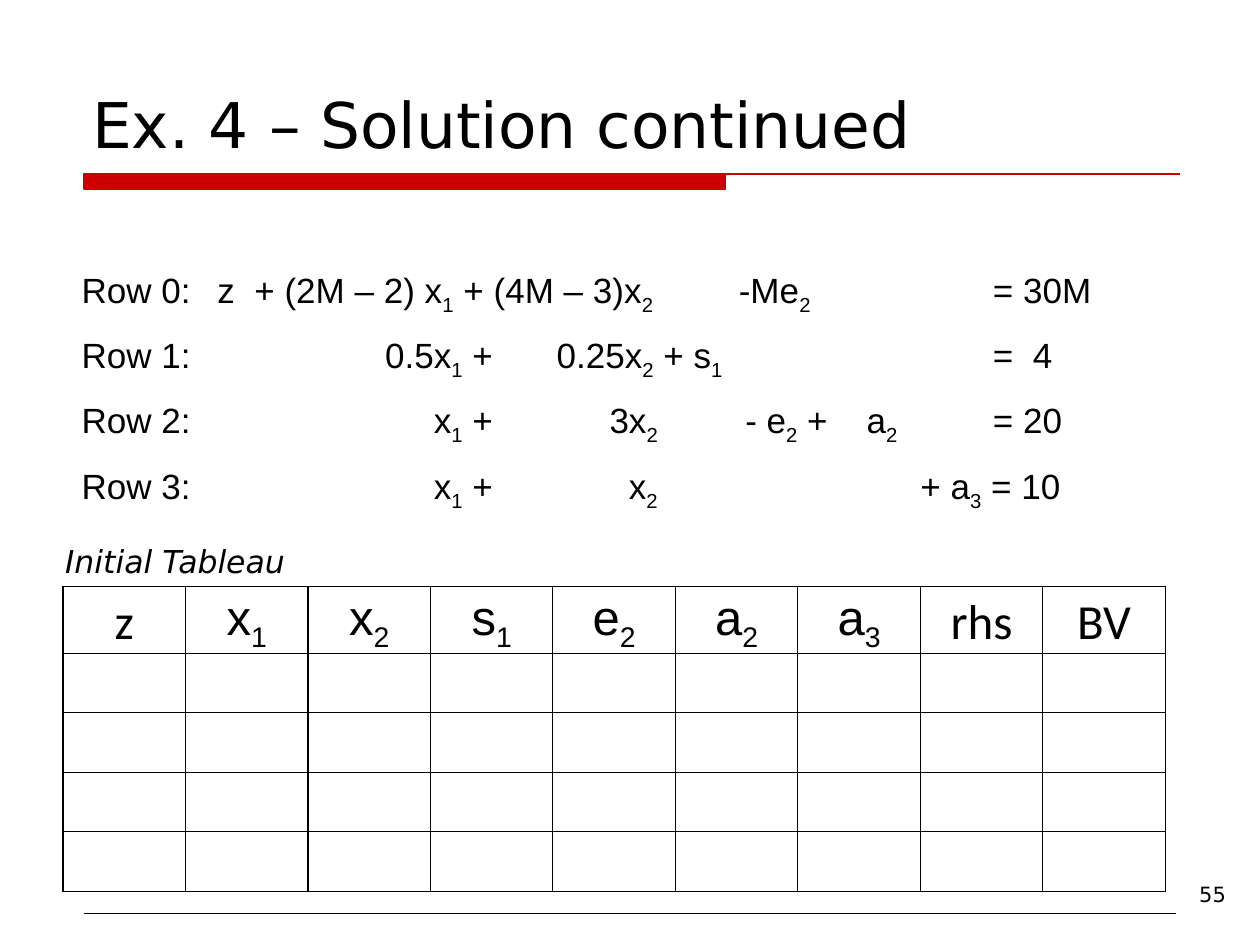
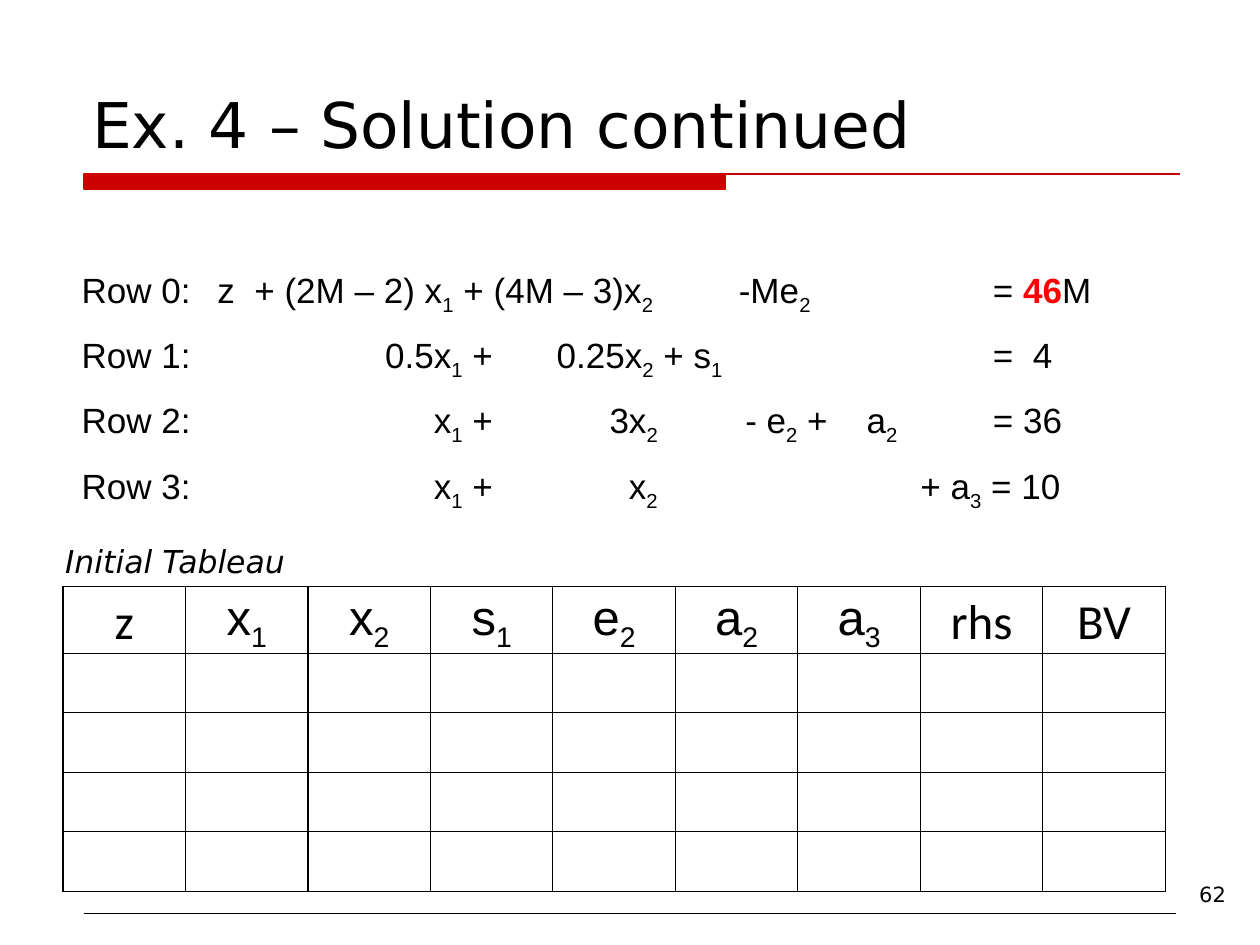
from lxml import etree
from pptx import Presentation
from pptx.dml.color import RGBColor
from pptx.enum.shapes import MSO_CONNECTOR as CONNECTOR, MSO_SHAPE as SHAPE
from pptx.enum.text import MSO_ANCHOR as ANCHOR, MSO_AUTO_SIZE as AUTO_SIZE, PP_ALIGN as ALIGN
from pptx.oxml.ns import qn
from pptx.util import Pt

COLORS = {"text": "000000", "accent": "CC0000", "changed": "FF0000"}
BASE_FONT, MATH_FONT, LABEL_FONT = "DejaVu Sans", "Arial", "Calibri"

TITLE = "Ex. 4 – Solution continued"
TABLEAU_HEADS = ["z", "x_1", "x_2", "s_1", "e_2", "a_2", "a_3", "rhs", "BV"]
EMPTY_ROWS = 4
RIGHT_SIDE_TAB = 520.7


def color(name):
    return RGBColor.from_string(COLORS[name])


def set_font(paragraph, name, size, italic=None):
    font = paragraph.font
    font.name, font.size, font.italic = name, Pt(size), italic
    font.color.rgb = color("text")


def add_math(paragraph, text):
    """Write text in which _ lowers the next character and *...* marks a changed value."""
    for index, part in enumerate(text.split("*")):
        for position, piece in enumerate(part.split("_")):
            if position:
                subscript = paragraph.add_run()
                subscript.text = piece[0]
                subscript._r.get_or_add_rPr().set("baseline", "-25000")
                piece = piece[1:]
            if piece:
                run = paragraph.add_run()
                run.text = piece
                if index % 2:
                    run.font.bold = True
                    run.font.color.rgb = color("changed")


def set_tabs(paragraph, stops):
    tab_list = etree.SubElement(paragraph._p.get_or_add_pPr(), qn("a:tabLst"))
    for stop in stops:
        etree.SubElement(tab_list, qn("a:tab"), pos=str(Pt(stop)), algn="l")


def add_text_box(slide, left, top, width, height):
    frame = slide.shapes.add_textbox(Pt(left), Pt(top), Pt(width), Pt(height)).text_frame
    frame.word_wrap = True
    return frame


def add_label(slide, box, text, size, italic=None):
    paragraph = add_text_box(slide, *box).paragraphs[0]
    paragraph.text = text
    set_font(paragraph, BASE_FONT, size, italic)


def add_rule(slide, left, top, width, color_name, weight):
    rule = slide.shapes.add_connector(
        CONNECTOR.STRAIGHT, Pt(left), Pt(top), Pt(left + width), Pt(top))
    rule.line.color.rgb = color(color_name)
    rule.line.width = Pt(weight)
    etree.SubElement(rule._element.spPr, qn("a:effectLst"))


def add_title_band(slide, left, top, width, height):
    bar = slide.shapes.add_shape(
        SHAPE.RECTANGLE, Pt(left), Pt(top), Pt(width * 0.585), Pt(height))
    bar.shadow.inherit = False
    bar.fill.solid()
    bar.fill.fore_color.rgb = bar.line.color.rgb = color("accent")
    bar.line.width = Pt(0.75)
    add_rule(slide, left, top, width, "accent", 0.75)


def add_title(slide, left, top, width, height):
    title = slide.shapes.title
    title.left, title.top, title.width, title.height = map(Pt, (left, top, width, height))
    frame = title.text_frame
    frame.auto_size = AUTO_SIZE.NONE
    frame.vertical_anchor = ANCHOR.BOTTOM
    paragraph = frame.paragraphs[0]
    paragraph.text = TITLE
    paragraph.alignment = ALIGN.LEFT
    set_font(paragraph, BASE_FONT, 36)


def add_equations(slide, box, row_0_value, row_2_value):
    equations = [
        (f"Row 0:\tz\t+ (2M – 2) x_1 + (4M – 3)x_2\t-Me_2\t= {row_0_value}",
         [77.5, 98.7, 375.5, RIGHT_SIDE_TAB]),
        ("Row 1:\t0.5x_1 +\t0.25x_2 + s_1\t=\t4",
         [173.4, 271.4, RIGHT_SIDE_TAB, 543.5]),
        (f"Row 2:\tx_1 +\t3x_2\t- e_2 +\ta_2\t= {row_2_value}",
         [201.2, 301.6, 379.2, 448.5, RIGHT_SIDE_TAB]),
        ("Row 3:\tx_1 +\tx_2\t+ a_3 = 10", [201.2, 312.7, 479.3]),
    ]
    frame = add_text_box(slide, *box)
    for index, (text, stops) in enumerate(equations):
        paragraph = frame.add_paragraph() if index else frame.paragraphs[0]
        if index:
            paragraph.space_before = Pt(10)
        set_tabs(paragraph, stops)
        set_font(paragraph, MATH_FONT, 20)
        add_math(paragraph, text)


def set_borders(cell):
    properties = cell._tc.get_or_add_tcPr()
    for index, side in enumerate(("lnL", "lnR", "lnT", "lnB")):
        border = etree.Element(qn(f"a:{side}"), w=str(Pt(0.75)))
        fill = etree.SubElement(border, qn("a:solidFill"))
        etree.SubElement(fill, qn("a:srgbClr"), val=COLORS["text"])
        properties.insert(index, border)


def add_tableau(slide, left, top, column_width, head_height, row_height):
    columns = len(TABLEAU_HEADS)
    table = slide.shapes.add_table(
        EMPTY_ROWS + 1, columns, Pt(left), Pt(top),
        Pt(columns * column_width), Pt(head_height + EMPTY_ROWS * row_height)).table
    table.first_row = table.horz_banding = False
    for column in table.columns:
        column.width = Pt(column_width)
    for index, row in enumerate(table.rows):
        row.height = Pt(row_height if index else head_height)
    for cell in table.iter_cells():
        cell.fill.background()
        set_borders(cell)
    for cell, head in zip(table.rows[0].cells, TABLEAU_HEADS):
        cell.margin_left = cell.margin_right = cell.margin_top = cell.margin_bottom = 0
        cell.vertical_anchor = ANCHOR.BOTTOM
        paragraph = cell.text_frame.paragraphs[0]
        paragraph.alignment = ALIGN.CENTER
        set_font(paragraph, MATH_FONT if "_" in head else LABEL_FONT, 28)
        add_math(paragraph, head)


def add_solution_slide(presentation, number, row_0_value, row_2_value):
    slide = presentation.slides.add_slide(presentation.slide_layouts[5])
    add_title_band(slide, 48, 99.4, 626.5, 8.6)
    add_rule(slide, 48, 522, 624, "text", 0.5)
    add_label(slide, (678.2, 500.4, 38.2, 21.6), number, 12)
    add_title(slide, 45.4, 18, 630, 77.8)
    add_equations(slide, (39.6, 149.8, 642.2, 140.4), row_0_value, row_2_value)
    add_tableau(slide, 36, 335, 70, 38, 34)
    add_label(slide, (30.2, 306, 144.7, 28.8), "Initial Tableau", 18, italic=True)


def main():
    presentation = Presentation()
    presentation.slide_width, presentation.slide_height = Pt(720), Pt(540)
    add_solution_slide(presentation, "55", "30M", "20")
    add_solution_slide(presentation, "62", "*46*M", "36")
    presentation.save("out.pptx")


if __name__ == "__main__":
    main()
